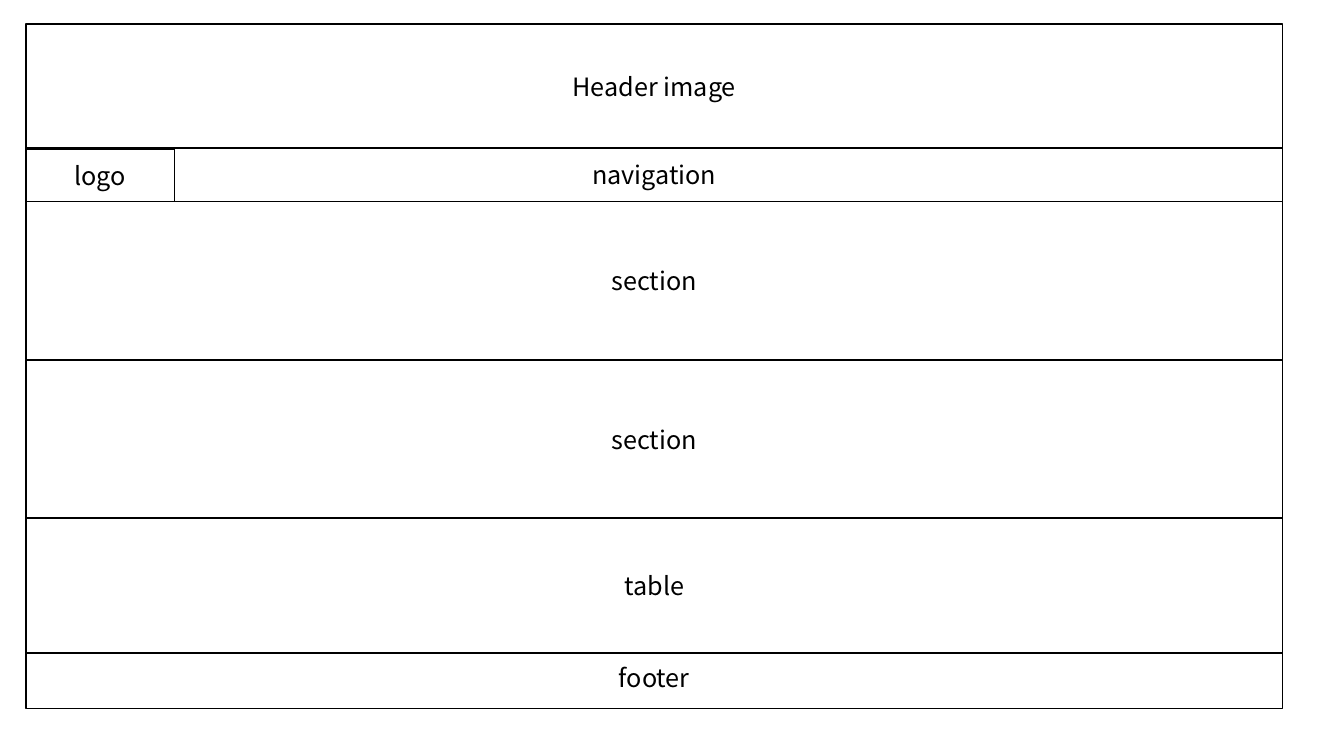
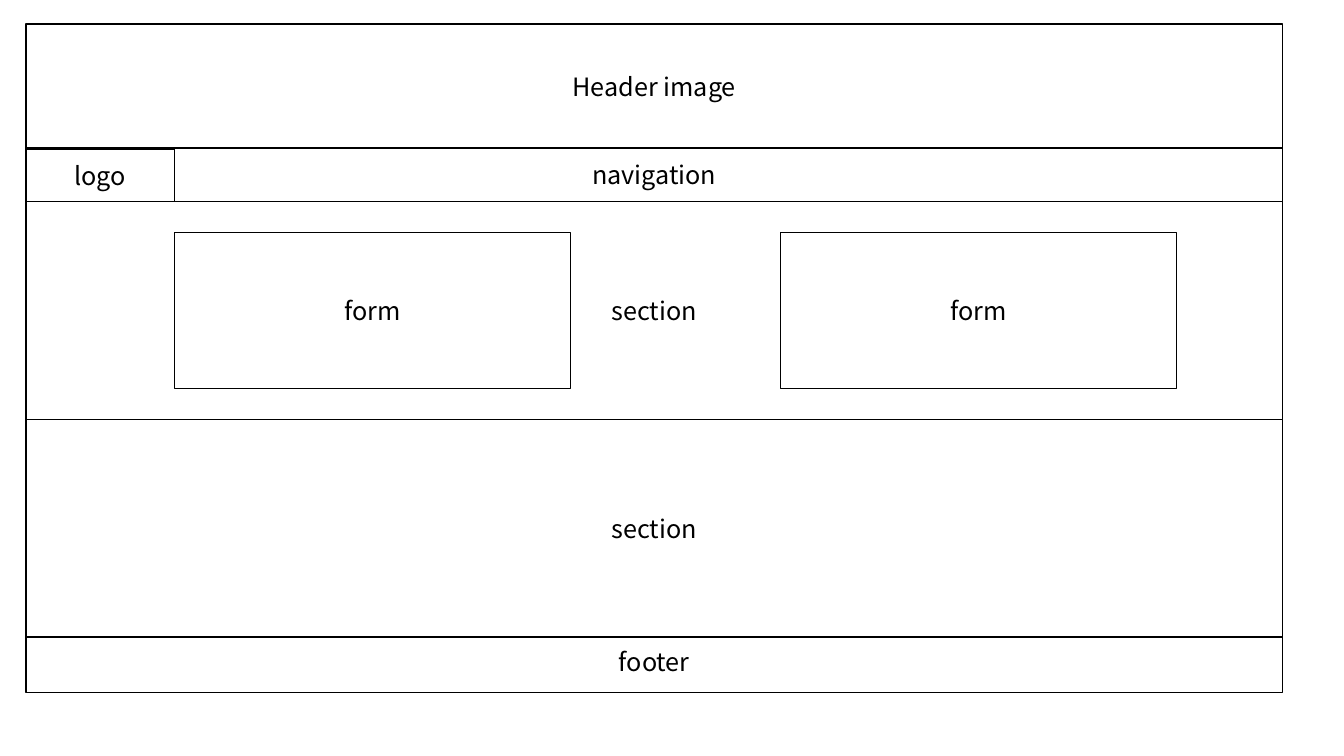
from dataclasses import dataclass
from typing import NamedTuple

from pptx import Presentation
from pptx.dml.color import RGBColor
from pptx.enum.shapes import MSO_SHAPE
from pptx.enum.text import MSO_ANCHOR, PP_ALIGN
from pptx.util import Inches, Pt

RECT = MSO_SHAPE.RECTANGLE
MIDDLE = MSO_ANCHOR.MIDDLE
CENTER = PP_ALIGN.CENTER
BLANK_LAYOUT = 6


@dataclass(frozen=True)
class Theme:
    paper: RGBColor = RGBColor(0xFF, 0xFF, 0xFF)
    ink: RGBColor = RGBColor(0, 0, 0)
    font: str = "Noto Sans CJK SC"
    text_size: Pt = Pt(18)
    line_width: Pt = Pt(1)


class Box(NamedTuple):
    left: float
    top: float
    width: float
    height: float

    @property
    def bottom(self):
        return self.top + self.height


THEME = Theme()

# Page frame, in inches
PAGE_LEFT, PAGE_TOP, PAGE_WIDTH = 0.26, 0.24, 12.46
HEADER_HEIGHT, NAV_HEIGHT, FOOTER_HEIGHT = 1.23, 0.53, 0.62
LOGO_WIDTH, LOGO_INSET = 1.47, 0.01
FOOTER_OVERLAP = 0.07  # the last band covers the top edge of the footer

# Forms inside a section, in inches
FORM_WIDTH, FORM_HEIGHT = 3.93, 1.55
FORM_PITCH = 6.01


def add_block(slide, box, label):
    """Outlined rectangle with a centred label."""
    s = slide.shapes.add_shape(RECT, *(Inches(v) for v in box))
    s.shadow.inherit = False
    s.fill.solid()
    s.fill.fore_color.rgb = THEME.paper
    s.line.color.rgb = THEME.ink
    s.line.width = THEME.line_width
    tf = s.text_frame
    tf.text = label
    tf.vertical_anchor = MIDDLE
    p = tf.paragraphs[0]
    p.alignment = CENTER
    font = p.runs[0].font
    font.name = THEME.font
    font.size = THEME.text_size
    font.color.rgb = THEME.ink


def add_top(slide, box):
    """Header, navigation and logo; returns the bottom edge."""
    header = box._replace(height=HEADER_HEIGHT)
    nav = box._replace(top=header.bottom, height=NAV_HEIGHT)
    logo = Box(nav.left, nav.top + LOGO_INSET,
               LOGO_WIDTH, NAV_HEIGHT - LOGO_INSET)
    add_block(slide, nav, "navigation")
    add_block(slide, logo, "logo")
    add_block(slide, header, "Header image")
    return nav.bottom


def add_forms(slide, section, count=2):
    """Equally spaced forms, starting at the logo's right edge."""
    top = section.top + (section.height - FORM_HEIGHT) / 2
    for i in range(count):
        left = section.left + LOGO_WIDTH + i * FORM_PITCH
        add_block(slide, Box(left, top, FORM_WIDTH, FORM_HEIGHT), "form")


def add_page(prs, bands):
    """Wireframe page with stacked (label, height) bands; returns them."""
    slide = prs.slides.add_slide(prs.slide_layouts[BLANK_LAYOUT])
    page = Box(PAGE_LEFT, PAGE_TOP, PAGE_WIDTH, 0)
    top = add_top(slide, page)

    # Footer lies behind the bands
    bands_bottom = top + sum(height for _, height in bands)
    add_block(slide, page._replace(top=bands_bottom - FOOTER_OVERLAP,
                                   height=FOOTER_HEIGHT), "footer")

    # Content bands
    boxes = []
    for label, height in bands:
        box = page._replace(top=top, height=height)
        add_block(slide, box, label)
        boxes.append(box)
        top = box.bottom
    return slide, boxes


prs = Presentation()
prs.slide_width, prs.slide_height = Inches(13.33), Inches(7.5)

# Page with a table
add_page(prs, [("section", 1.57), ("section", 1.57), ("table", 1.34)])

# Page with forms
form_page, sections = add_page(prs, [("section", 2.16)] * 2)
add_forms(form_page, sections[0])

prs.save("out.pptx")
